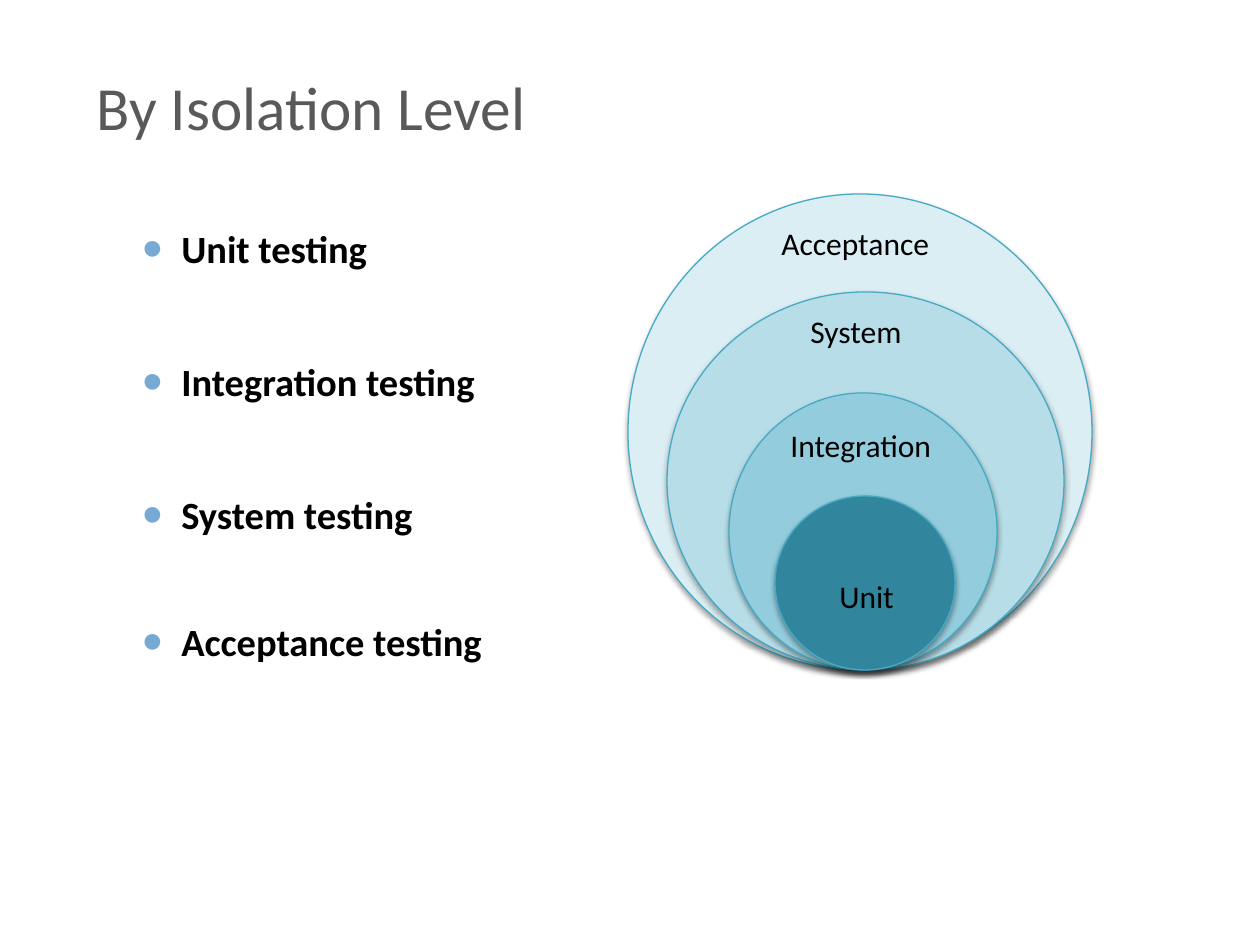
from pptx import Presentation
from pptx.dml.color import RGBColor
from pptx.enum.shapes import MSO_SHAPE as Shape
from pptx.enum.text import MSO_AUTO_SIZE as AutoSize
from pptx.oxml import parse_xml
from pptx.oxml.ns import nsdecls, qn
from pptx.util import Emu, Pt

SCALE = 914400 / 126
COLORS = {
    "title": "595959", "text": "000000", "bullet": "76A9D4", "outline": "46AAC5",
    "acceptance": "DBEEF4", "system": "B7DEE8", "integration": "93CDDD",
    "unit": "31859C", "shadow": "000000",
}
RINGS_BOTTOM = 670


def px(n):
    """Turn pixels into EMU."""
    return Emu(round(n * SCALE))


def rgb(name):
    """Look up a named colour."""
    return RGBColor.from_string(COLORS[name])


def xml(tag, attrs, inner=""):
    """Make a DrawingML element."""
    return parse_xml(f'<a:{tag} {nsdecls("a")} {attrs}>{inner}</a:{tag}>')


def add_shadow(sp):
    """Give a shape a soft shadow falling downwards."""
    sp.shadow.inherit = False
    effects = sp._element.spPr.find(qn("a:effectLst"))
    effects.append(xml(
        "outerShdw", 'blurRad="40000" dist="23000" dir="5400000" rotWithShape="0"',
        f'<a:srgbClr val="{COLORS["shadow"]}"><a:alpha val="35000"/></a:srgbClr>'))


def add_ring(slide, left, top, width, color):
    """Add an ellipse that rests on the common bottom line."""
    sp = slide.shapes.add_shape(
        Shape.OVAL, px(left), px(top), px(width), px(RINGS_BOTTOM - top))
    sp.fill.solid()
    sp.fill.fore_color.rgb = rgb(color)
    sp.line.color.rgb = rgb("outline")
    sp.line.width = Pt(0.75)
    add_shadow(sp)


def add_bullet(p):
    """Give a paragraph a large coloured bullet and a hanging indent."""
    pPr = p._p.get_or_add_pPr()
    pPr.set("marL", str(px(39)))
    pPr.set("indent", str(-px(39)))
    pPr.append(xml("buClr", "", f'<a:srgbClr val="{COLORS["bullet"]}"/>'))
    pPr.append(xml("buSzPct", 'val="150000"'))
    pPr.append(xml("buFont", 'typeface="Arial"'))
    pPr.append(xml("buChar", 'char="•"'))


def add_text(slide, text, left, top, width, height, size=18, color="text",
             bold=False, bullet=False, wrap=True):
    """Add a one-line text box."""
    tf = slide.shapes.add_textbox(px(left), px(top), px(width), px(height)).text_frame
    tf.word_wrap = wrap
    tf.auto_size = AutoSize.SHAPE_TO_FIT_TEXT
    p = tf.paragraphs[0]
    if bullet:
        add_bullet(p)
    r = p.add_run()
    r.text = text
    r.font.name = "Calibri"
    r.font.size = Pt(size)
    r.font.bold = bold
    r.font.color.rgb = rgb(color)


def main():
    """Build the slide."""
    prs = Presentation()
    prs.slide_width, prs.slide_height = px(1260), px(945)
    slide = prs.slides.add_slide(prs.slide_layouts[6])

    add_text(slide, "By Isolation Level", 84, 63, 459, 87,
             size=35, color="title", wrap=False)

    levels = [("Unit", 219), ("Integration", 352), ("System", 485), ("Acceptance", 612)]
    for level, top in levels:
        add_text(slide, f"{level} testing", 130, top, 413, 59,
                 size=22, bold=True, bullet=True)

    rings = [
        ("Acceptance", (628, 194, 464), (769, 218, 186)),
        ("System", (667, 292, 397), (798, 306, 147)),
        ("Integration", (729, 393, 268), (778, 420, 207)),
        ("Unit", (775, 496, 180), (827, 571, 98)),
    ]
    for level, ring, label in rings:
        add_ring(slide, *ring, level.lower())
        add_text(slide, level, *label, 50)

    prs.save("out.pptx")


main()
